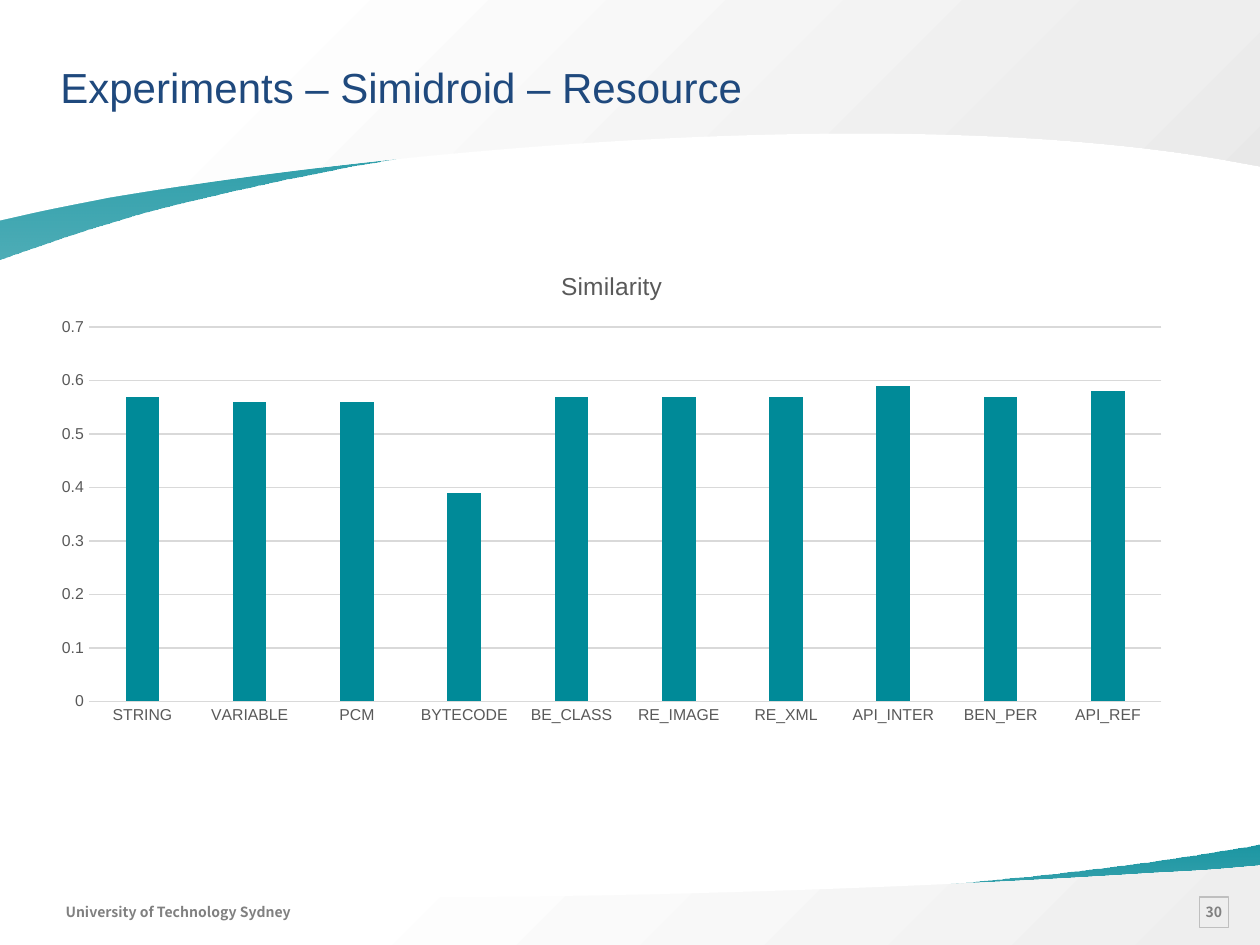
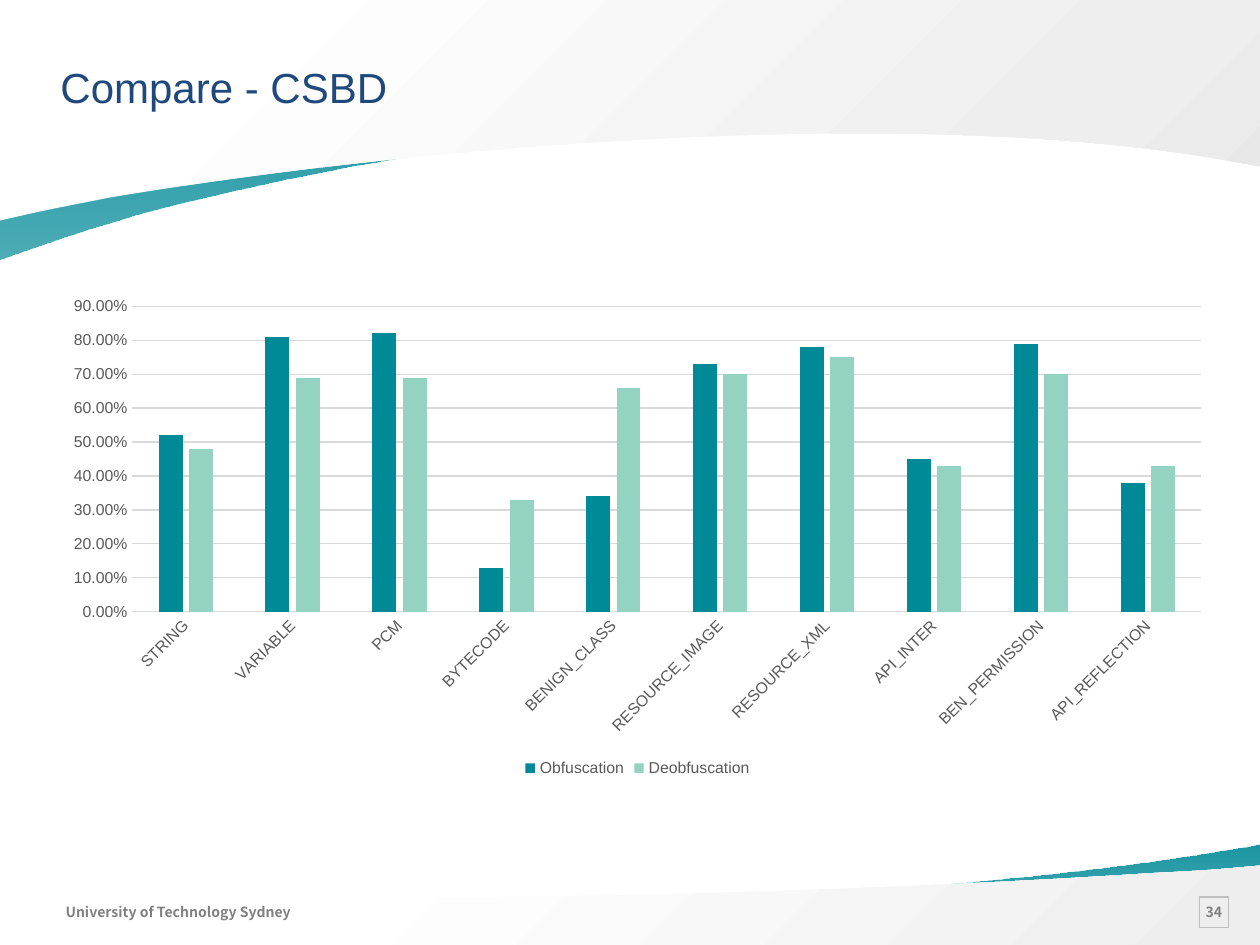
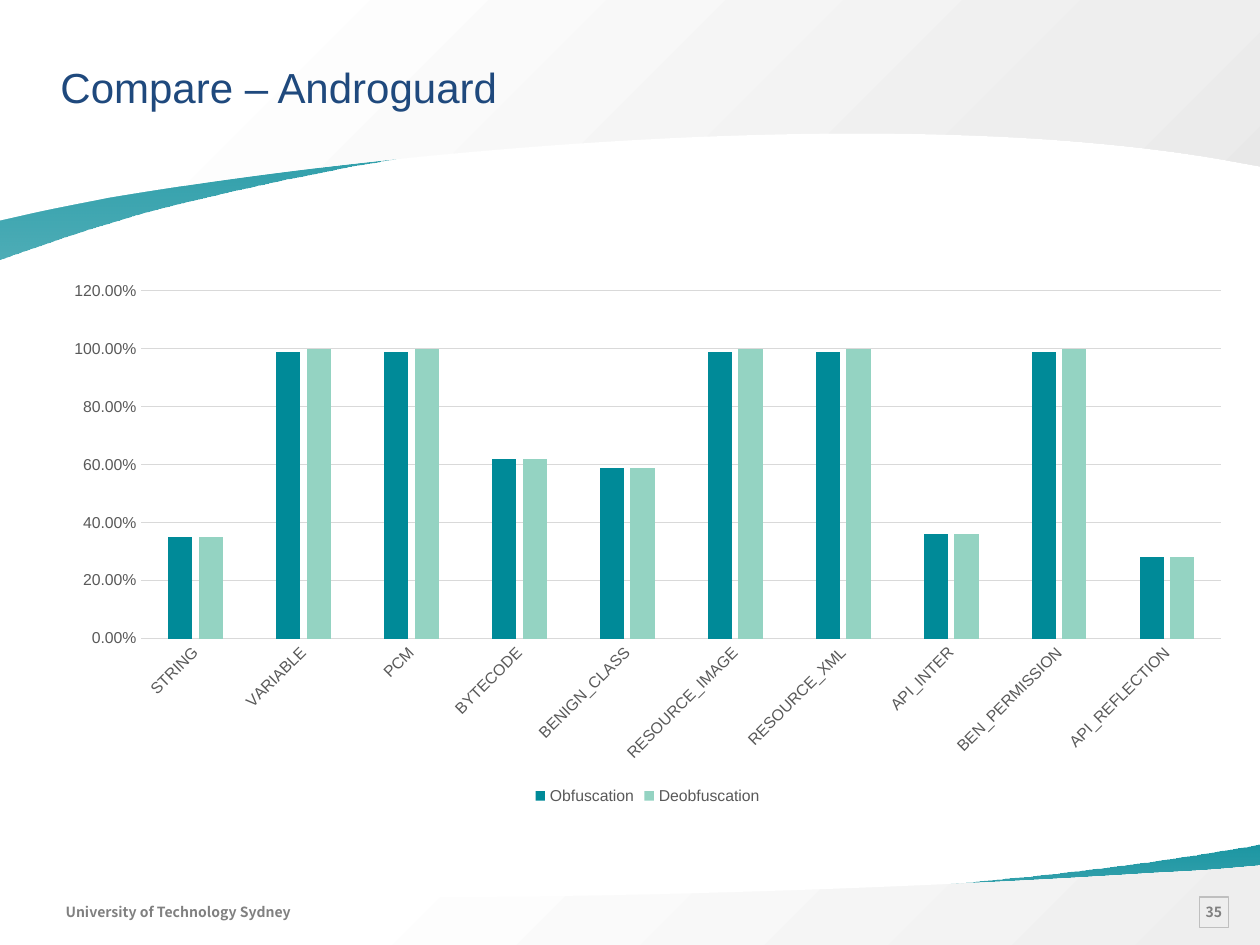
from pptx import Presentation
from pptx.chart.data import CategoryChartData
from pptx.dml.color import RGBColor
from pptx.enum.chart import XL_CHART_TYPE, XL_LEGEND_POSITION, XL_TICK_MARK
from pptx.enum.shapes import MSO_SHAPE
from pptx.enum.text import MSO_ANCHOR, PP_ALIGN
from pptx.oxml import parse_xml
from pptx.oxml.ns import nsdecls
from pptx.util import Emu, Pt

COLUMNS = XL_CHART_TYPE.COLUMN_CLUSTERED
BOTTOM = XL_LEGEND_POSITION.BOTTOM
NO_TICK = XL_TICK_MARK.NONE
RECT = MSO_SHAPE.RECTANGLE
TOP, MIDDLE = MSO_ANCHOR.TOP, MSO_ANCHOR.MIDDLE
LEFT, CENTER = PP_ALIGN.LEFT, PP_ALIGN.CENTER

SCALE = 9144  # EMU per px, 100 px to the inch
AUTO_ANGLE = "-60000000"  # axis labels turn only when they need to
COLORS = {
    "teal": "008A98", "mint": "94D3C2", "navy": "1F497D",
    "footer": "808080", "border": "BFBFBF", "label": "595959",
    "grid": "D9D9D9", "white": "FFFFFF", "pale": "EEEEEE", "grey": "E8E8E8",
    "black": "000000",
}
BODY_FONT, FOOTER_FONT = "Arial", "Noto Sans CJK SC"

# Gradient stops: position %, colour, opacity %
TEAL_FADE = [(0, "teal", 90), (100, "teal", 70)]
FOOTER_FADE = [(26, "white", 100), (100, "pale", 100)]
HEADER_FADE = [(17, "white", 100), (81, "pale", 100), (100, "grey", 100)]

# Bands, back to front: outline, stops, angle; six numbers make a curve
BANDS = [
    ([(1000, 670), (1000, 735), (0, 735), (0, 708), (1, 708),
      (226, 741, 615, 717, 839, 693), (884, 688, 935, 681, 989, 672),
      (1000, 670)],
     TEAL_FADE, 90),
    ([(1000, 687), (1000, 712), (1000, 715), (1000, 750), (0, 750), (0, 715),
      (0, 712), (0, 703), (33, 705),
      (294, 721, 683, 708, 914, 693), (934, 692, 956, 691, 978, 689)],
     FOOTER_FADE, 45),
    ([(0, 206), (0, 66), (1000, 66), (1000, 124), (999, 123),
      (774, 53, 385, 103, 161, 157), (116, 167, 65, 183, 11, 202), (0, 206)],
     TEAL_FADE, 90),
    ([(0, 175), (0, 105), (0, 99), (0, 0), (1000, 0), (1000, 99), (1000, 105),
      (1000, 132), (967, 126),
      (706, 82, 317, 118, 86, 157), (66, 161, 44, 165, 22, 170)],
     HEADER_FADE, 45),
]

SHORT_CATS = ["STRING", "VARIABLE", "PCM", "BYTECODE", "BE_CLASS", "RE_IMAGE",
              "RE_XML", "API_INTER", "BEN_PER", "API_REF"]
LONG_CATS = ["STRING", "VARIABLE", "PCM", "BYTECODE", "BENIGN_CLASS",
             "RESOURCE_IMAGE", "RESOURCE_XML", "API_INTER", "BEN_PERMISSION",
             "API_REFLECTION"]


def px(n):
    return Emu(round(n * SCALE))


def rgb(name):
    return RGBColor.from_string(COLORS[name])


def style_font(font, size, color, name=BODY_FONT, bold=False):
    font.size, font.name, font.bold = Pt(size), name, bold
    font.color.rgb = rgb(color)


# Bands
def cubic(curve, left, top):
    """Curve segment in the coordinates of its shape."""
    pts = "".join(f'<a:pt x="{px(x) - left}" y="{px(y) - top}"/>'
                  for x, y in zip(curve[::2], curve[1::2]))
    return parse_xml(f'<a:cubicBezTo {nsdecls("a")}>{pts}</a:cubicBezTo>')


def gradient(stops, angle):
    gs = "".join(
        f'<a:gs pos="{pos * 1000}"><a:srgbClr val="{COLORS[color]}">'
        f'<a:alpha val="{opacity * 1000}"/></a:srgbClr></a:gs>'
        for pos, color, opacity in stops)
    return parse_xml(
        f'<a:gradFill {nsdecls("a")} rotWithShape="1"><a:gsLst>{gs}</a:gsLst>'
        f'<a:lin ang="{angle * 60000}" scaled="0"/></a:gradFill>')


def add_band(slide, outline, stops, angle):
    points = [(px(step[-2]), px(step[-1])) for step in outline]
    builder = slide.shapes.build_freeform(*points[0])
    builder.add_line_segments(points[1:], close=True)
    sp = builder.convert_to_shape()
    lines = sp.element.xpath(".//a:path/a:lnTo")
    for line, step in zip(lines, outline[1:]):
        if len(step) == 6:
            line.getparent().replace(line, cubic(step, sp.left, sp.top))
    sp.shadow.inherit = False
    sp.line.fill.background()
    sp.element.spPr.insert(2, gradient(stops, angle))


# Text
def set_text(sp, text, insets, size, color, font, bold=False, wrap=False,
             align=LEFT, anchor=TOP):
    tf = sp.text_frame
    tf.word_wrap, tf.vertical_anchor = wrap, anchor
    tf.margin_left, tf.margin_top, tf.margin_right, tf.margin_bottom = map(px, insets)
    p = tf.paragraphs[0]
    p.alignment = align
    r = p.add_run()
    r.text = text
    style_font(r.font, size, color, font, bold)


def add_text(slide, box, text, insets, *style, **options):
    sp = slide.shapes.add_textbox(*map(px, box))
    set_text(sp, text, insets, *style, **options)


def add_page_number(slide, number):
    sp = slide.shapes.add_shape(RECT, *map(px, (952, 712, 23, 24)))
    sp.shadow.inherit = False
    sp.fill.background()
    sp.line.color.rgb = rgb("border")
    sp.line.width = Pt(0.75)
    set_text(sp, str(number), (8, 8, 8, 8), 8, "footer", FOOTER_FONT, True,
             align=CENTER, anchor=MIDDLE)


# Charts
def style_axis(axis):
    axis.major_tick_mark = axis.minor_tick_mark = NO_TICK
    style_font(axis.tick_labels.font, 9, "label")


def thin_line(line):
    line.color.rgb = rgb("grid")
    line.width = Pt(0.75)


def add_columns(slide, box, cats, series, top, step, number_format="General",
                title=None):
    data = CategoryChartData(number_format=number_format)
    data.categories = cats
    for name, values, _ in series:
        data.add_series(name, values)
    chart = slide.shapes.add_chart(COLUMNS, *map(px, box), data).chart
    style_font(chart.font, 10, "black")

    chart.has_title = title is not None
    if title:
        r = chart.chart_title.text_frame.paragraphs[0].add_run()
        r.text = title
        style_font(r.font, 14, "label")
        chart.chart_title.include_in_layout = False

    chart.has_legend = len(series) > 1
    if chart.has_legend:
        chart.legend.position = BOTTOM
        chart.legend.include_in_layout = False
        style_font(chart.legend.font, 9, "label")

    cat_axis, val_axis = chart.category_axis, chart.value_axis
    style_axis(cat_axis)
    thin_line(cat_axis.format.line)
    style_axis(val_axis)
    for body in chart.element.xpath(".//c:catAx/c:txPr/a:bodyPr"):
        body.set("rot", AUTO_ANGLE)
    val_axis.format.line.fill.background()
    val_axis.minimum_scale, val_axis.maximum_scale = 0, top
    val_axis.major_unit = step
    val_axis.has_major_gridlines = True
    thin_line(val_axis.major_gridlines.format.line)
    val_axis.tick_labels.number_format = number_format
    val_axis.tick_labels.number_format_is_linked = False

    plot = chart.plots[0]
    plot.gap_width, plot.overlap = 219, -27
    plot.vary_by_categories = False
    for ser, (_, _, color) in zip(plot.series, series):
        ser.format.fill.solid()
        ser.format.fill.fore_color.rgb = rgb(color)
        ser.invert_if_negative = False


def add_comparison(slide, box, obfuscated, deobfuscated, top, step):
    series = [("Obfuscation", obfuscated, "teal"),
              ("Deobfuscation", deobfuscated, "mint")]
    add_columns(slide, box, LONG_CATS, series, top, step, "0.00%")


# Slide frame
def add_slide(prs, title, number):
    slide = prs.slides.add_slide(prs.slide_layouts[6])
    for band in BANDS:
        add_band(slide, *band)
    add_page_number(slide, number)
    add_text(slide, (52, 712, 189, 23), "University of Technology Sydney",
             (0, 5, 10, 5), 8, "footer", FOOTER_FONT, True)
    add_text(slide, (40, 41, 900, 58), title, (8, 8, 0, 8), 24, "navy",
             BODY_FONT, wrap=True)
    return slide


def main():
    prs = Presentation()
    prs.slide_width, prs.slide_height = px(1000), px(750)

    # Similarity
    slide = add_slide(prs, "Experiments – Simidroid – Resource", 30)
    similarity = [0.57, 0.56, 0.56, 0.39, 0.57, 0.57, 0.57, 0.59, 0.57, 0.58]
    add_columns(slide, (31, 198, 909, 385), SHORT_CATS,
                [("Similarity", similarity, "teal")], 0.7, 0.1, title="Similarity")

    # CSBD
    slide = add_slide(prs, "Compare - CSBD", 34)
    add_comparison(slide, (40, 228, 932, 393),
                   [0.52, 0.81, 0.82, 0.13, 0.34, 0.73, 0.78, 0.45, 0.79, 0.38],
                   [0.48, 0.69, 0.69, 0.33, 0.66, 0.7, 0.75, 0.43, 0.7, 0.43],
                   0.9, 0.1)

    # Androguard
    slide = add_slide(prs, "Compare – Androguard", 35)
    add_comparison(slide, (40, 215, 948, 428),
                   [0.35, 0.99, 0.99, 0.62, 0.59, 0.99, 0.99, 0.36, 0.99, 0.28],
                   [0.35, 1, 1, 0.62, 0.59, 1, 1, 0.36, 1, 0.28],
                   1.2, 0.2)

    prs.save("out.pptx")


if __name__ == "__main__":
    main()
